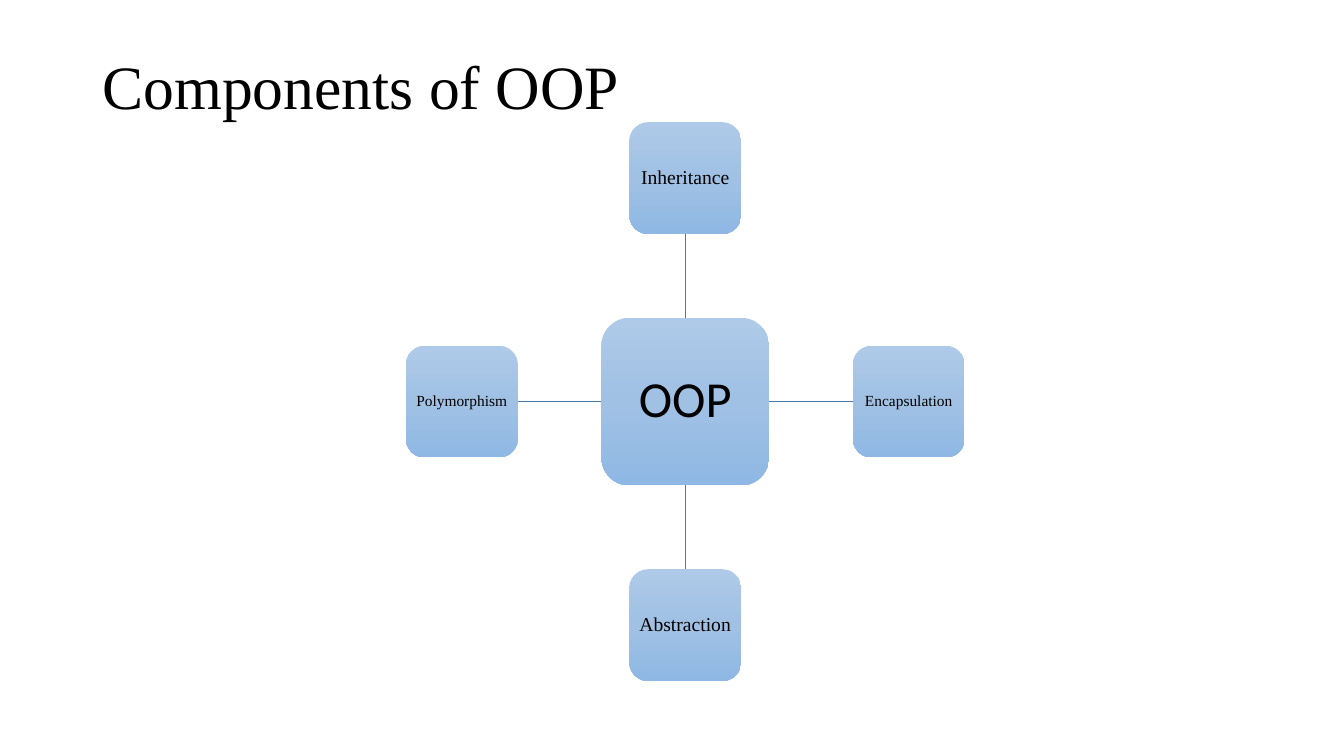
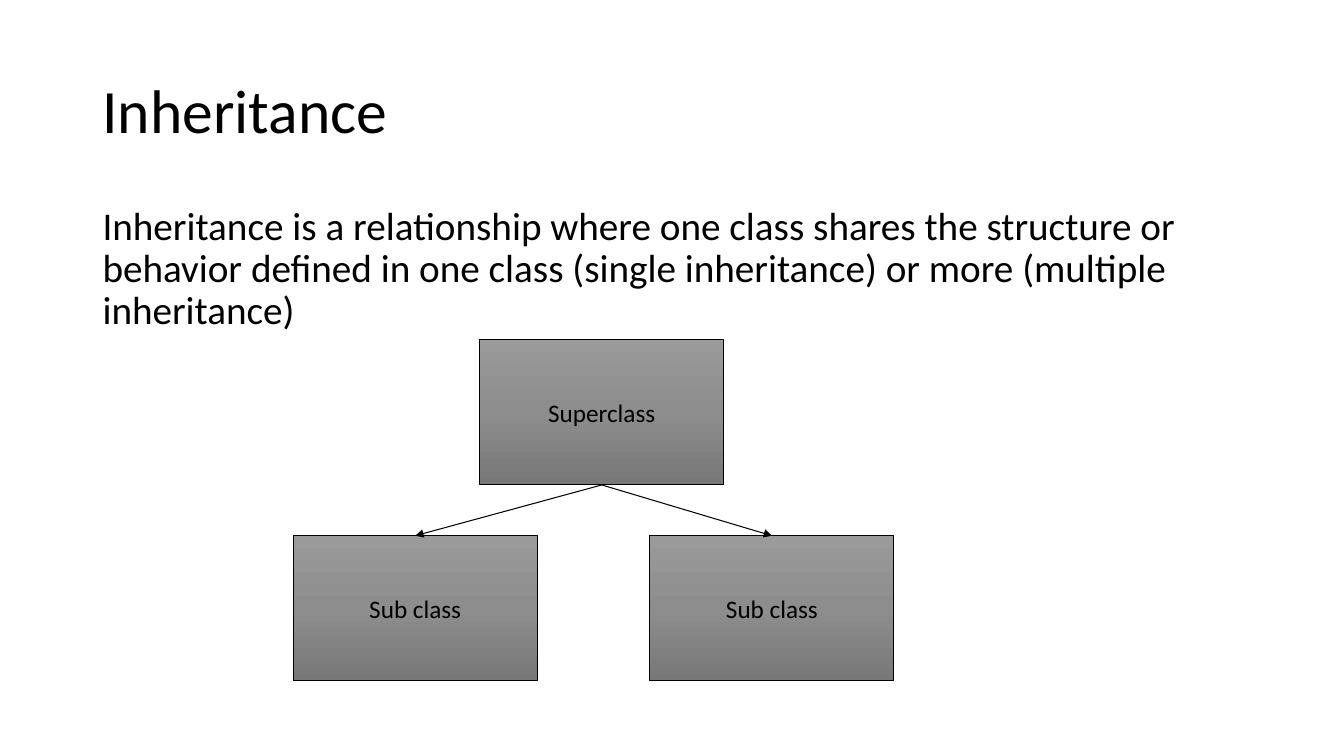
from copy import deepcopy

from lxml.etree import SubElement
from pptx import Presentation
from pptx.dml.color import RGBColor
from pptx.enum.shapes import MSO_CONNECTOR, MSO_SHAPE
from pptx.enum.text import MSO_ANCHOR, MSO_AUTO_SIZE, PP_ALIGN
from pptx.oxml.ns import qn
from pptx.util import Cm, Pt

# Shared style
BLACK, WHITE, LINK_BLUE = "000000", "FFFFFF", "487AA8"
BLUE_STOPS = ("AFCAE9", "A0C1E4", "8FB8E4")
GRAY_STOPS = ("9A9A9A", "8D8D8D", "787878")
SANS, SERIF = "Calibri", "Times New Roman"
CONTENT_LAYOUT, TITLE_ONLY_LAYOUT = 1, 5
MARGIN, CONTENT_WIDTH, TITLE_HEIGHT = 2.33, 29.21, 3.68
TOP, LEFT, BOTTOM, RIGHT = range(4)  # connection sites of a box


def color(hex_text):
    return RGBColor.from_string(hex_text)


def place(shape, left, top, width, height):
    shape.left, shape.top = Cm(left), Cm(top)
    shape.width, shape.height = Cm(width), Cm(height)


def write(shape, text, size, font, align, anchor, spacing=0.9):
    frame = shape.text_frame
    frame.word_wrap = True
    frame.auto_size = MSO_AUTO_SIZE.NONE
    frame.vertical_anchor = anchor
    para = frame.paragraphs[0]
    para.text = text
    para.alignment = align
    para.line_spacing = spacing
    para.space_before = Pt(0)
    para.font.size, para.font.name = Pt(size), font
    para.font.color.rgb = color(BLACK)
    return para


def add_page(deck, layout, title, title_top, title_font):
    page = deck.slides.add_slide(deck.slide_layouts[layout])
    page.background.fill.solid()
    page.background.fill.fore_color.rgb = color(WHITE)
    heading = page.shapes.title
    place(heading, MARGIN, title_top, CONTENT_WIDTH, TITLE_HEIGHT)
    write(heading, title, 44, title_font, PP_ALIGN.LEFT, MSO_ANCHOR.MIDDLE)
    return page


def add_box(page, preset, bounds, stops, text, size, font, spacing=0.9):
    box = page.shapes.add_shape(preset, *map(Cm, bounds))
    box.shadow.inherit = False
    box.fill.gradient()
    box.fill.gradient_angle = 270  # first colour on top
    # The default gradient has two stops; add one in the middle
    first = box.fill._xPr.find(".//" + qn("a:gs"))
    first.addnext(deepcopy(first))
    for stop, position, hex_text in zip(box.fill.gradient_stops, (0, 0.5, 1), stops):
        stop.position = position
        stop.color.rgb = color(hex_text)
    write(box, text, size, font, PP_ALIGN.CENTER, MSO_ANCHOR.MIDDLE, spacing)
    return box


def add_link(page, start, start_site, end, end_site, hex_text, width, arrow=False):
    link = page.shapes.add_connector(MSO_CONNECTOR.STRAIGHT, 0, 0, 0, 0)
    link.begin_connect(start, start_site)
    link.end_connect(end, end_site)
    link.line.color.rgb = color(hex_text)
    link.line.width = Pt(width)
    if arrow:
        SubElement(link.line._get_or_add_ln(), qn("a:tailEnd"), type="triangle")
    SubElement(link._element.spPr, qn("a:effectLst"))


def add_hub(page, left, top, side):
    """Central square with four satellites, in a square region."""
    hub_side, node_side = 0.3 * side, 0.2 * side
    reach = (side - node_side) / 2
    center_x, center_y = left + side / 2, top + side / 2

    def add_square(x, y, size, text, points, font):
        bounds = (x - size / 2, y - size / 2, size, size)
        box = add_box(page, MSO_SHAPE.ROUNDED_RECTANGLE, bounds, BLUE_STOPS,
                      text, points, font)
        box.line.fill.background()
        frame = box.text_frame
        frame.margin_left = frame.margin_right = Cm(0.05)
        return box

    hub = add_square(center_x, center_y, hub_side, "OOP", 36, SANS)
    nodes = (
        ("Inheritance", 14, 0, -1, TOP, BOTTOM),
        ("Encapsulation", 11, 1, 0, RIGHT, LEFT),
        ("Abstraction", 14, 0, 1, BOTTOM, TOP),
        ("Polymorphism", 11, -1, 0, LEFT, RIGHT),
    )
    for text, points, across, down, hub_site, node_site in nodes:
        node = add_square(center_x + across * reach, center_y + down * reach,
                          node_side, text, points, SERIF)
        add_link(page, hub, hub_site, node, node_site, LINK_BLUE, 1)


def add_class_tree(page, left, top, width, height):
    """Superclass above two subclasses at the lower corners of the region."""
    box_width, box_height = 6.15, 3.66

    def add_class(x, y, text):
        box = add_box(page, MSO_SHAPE.RECTANGLE, (x, y, box_width, box_height),
                      GRAY_STOPS, text, 18, SANS, 1.0)
        box.line.color.rgb = color(BLACK)
        box.line.width = Pt(0.75)
        return box

    superclass = add_class(left + 4.7, top, "Superclass")
    for x in (left, left + width - box_width):
        subclass = add_class(x, top + height - box_height, "Sub class")
        add_link(page, superclass, BOTTOM, subclass, TOP, BLACK, 0.75, arrow=True)


def add_definition(page, text, left, top, width, height):
    body = page.placeholders[1]
    place(body, left, top, width, height)
    para = write(body, text, 28, SANS, PP_ALIGN.LEFT, MSO_ANCHOR.TOP)
    # Plain paragraph without bullet or indent
    properties = para._p.get_or_add_pPr()
    properties.set("marL", "0")
    properties.set("indent", "0")
    bullet = SubElement(properties, qn("a:buNone"))
    properties.find(qn("a:spcBef")).addnext(bullet)


def components_page(deck):
    page = add_page(deck, TITLE_ONLY_LAYOUT, "Components of OOP", 0.41, SERIF)
    add_hub(page, 10.23, 3.08, 14.08)


def inheritance_page(deck):
    page = add_page(deck, CONTENT_LAYOUT, "Inheritance", 1.01, SANS)
    add_definition(
        page,
        "Inheritance is a relationship where one class shares the structure or "
        "behavior defined in one class (single inheritance) or more (multiple "
        "inheritance)",
        MARGIN, 5.07, CONTENT_WIDTH, 12.09)
    add_class_tree(page, 7.39, 8.56, 15.14, 8.6)


def main():
    deck = Presentation()
    deck.slide_width, deck.slide_height = Cm(33.87), Cm(19.05)
    components_page(deck)
    inheritance_page(deck)
    deck.save("out.pptx")


if __name__ == "__main__":
    main()
